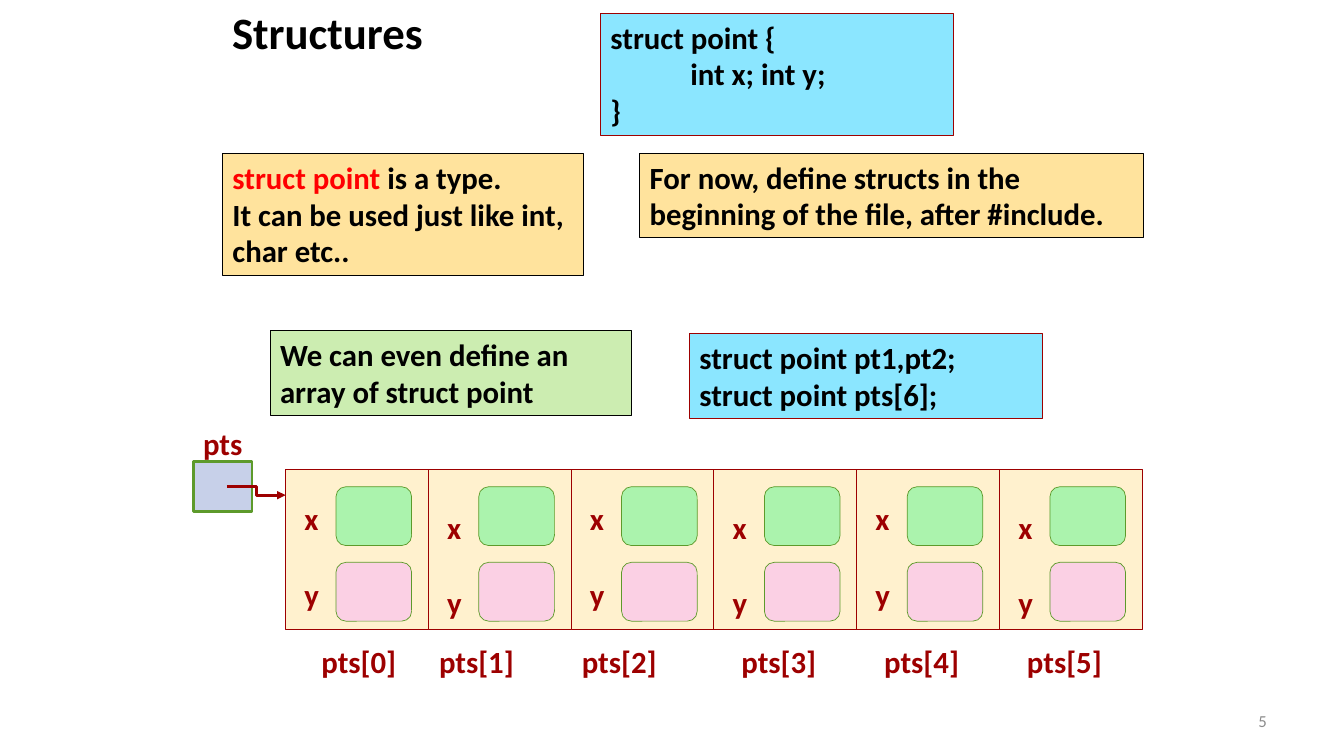
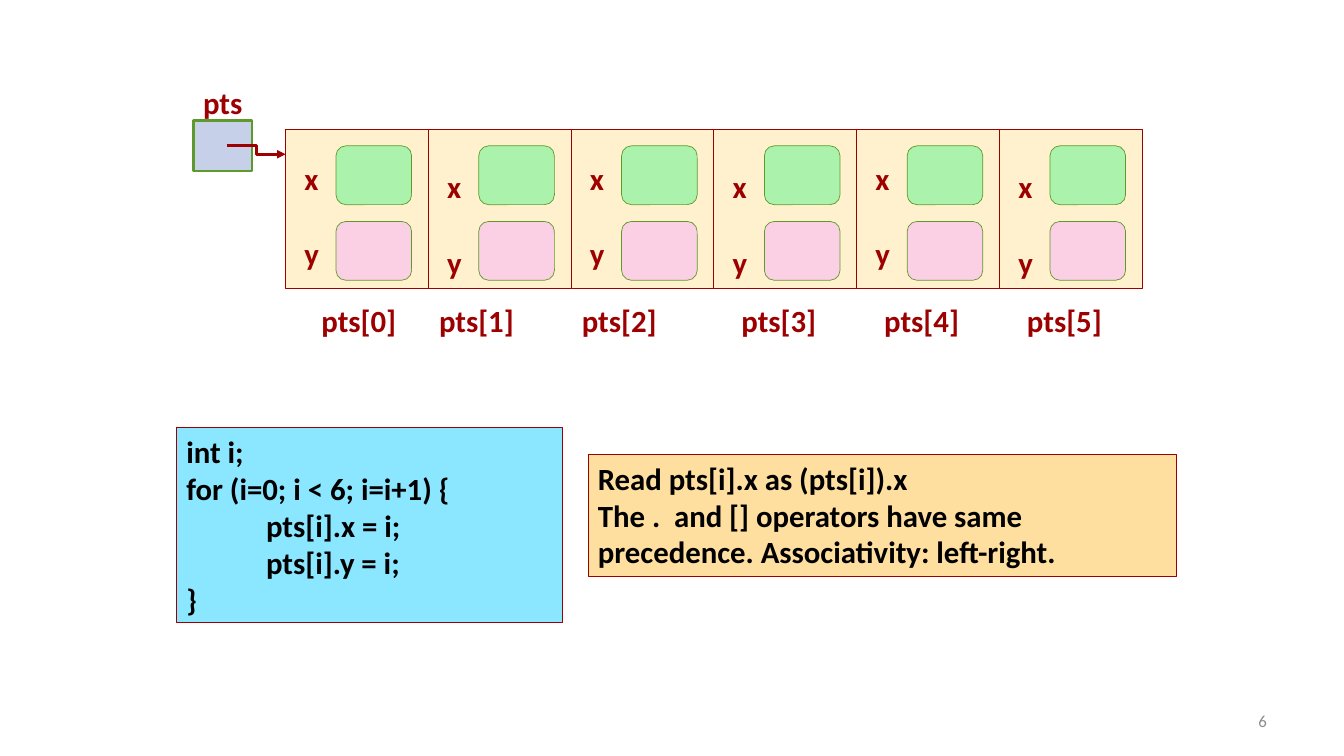
from pptx import Presentation
from pptx.dml.color import RGBColor
from pptx.enum.shapes import MSO_CONNECTOR, MSO_SHAPE
from pptx.enum.text import MSO_ANCHOR, MSO_AUTO_SIZE, PP_ALIGN
from pptx.oxml.ns import qn
from pptx.util import Pt
from lxml.etree import SubElement

BLACK = RGBColor(0x00, 0x00, 0x00)
RED = RGBColor(0xFF, 0x00, 0x00)
GREY = RGBColor(0x8C, 0x8C, 0x8C)
MAROON = RGBColor(0x9D, 0x00, 0x00)
LEAF = RGBColor(0x5D, 0x9A, 0x2B)
SKY = RGBColor(0x8B, 0xE6, 0xFF)
SAND = RGBColor(0xFF, 0xE3, 0x9D)
APRICOT = RGBColor(0xFF, 0xDF, 0x9F)
LIME = RGBColor(0xCC, 0xED, 0xB1)
CREAM = RGBColor(0xFF, 0xF1, 0xCE)
MINT = RGBColor(0xAB, 0xF3, 0xAD)
PINK = RGBColor(0xFB, 0xD0, 0xE4)
PERIWINKLE = RGBColor(0xC7, 0xD0, 0xE9)

FONT = "Calibri"
BODY_SIZE = 22
CODE_INDENT = 57
ARRAY_LEFT = 204
CELL_WIDTH, CELL_HEIGHT = 102, 114
CAPTION_OFFSETS = (18.5, 0.5, 0.5, 12.5, 12.5, 12.5)


class Lecture:
    """Holds the deck, its style and the current page."""

    def __init__(self):
        self.deck = Presentation()
        self.deck.slide_width, self.deck.slide_height = Pt(960), Pt(540)
        self.page = None

    def new_page(self, number):
        self.page = self.deck.slides.add_slide(self.deck.slide_layouts[6])
        box = self.text(str(number), 688, 500.5, 224, 28.5, GREY, size=12,
                        bold=False, align=PP_ALIGN.RIGHT, wrap=True)
        box.text_frame.auto_size = MSO_AUTO_SIZE.NONE
        box.text_frame.vertical_anchor = MSO_ANCHOR.MIDDLE

    def add_spans(self, paragraph, spans, size=BODY_SIZE, bold=True, align=PP_ALIGN.LEFT):
        paragraph.alignment = align
        for words, color in spans:
            span = paragraph.add_run()
            span.text = words
            span.font.name = FONT
            span.font.size = Pt(size)
            span.font.bold = bold
            span.font.color.rgb = color

    def text(self, words, left, top, width, height, color, size=BODY_SIZE,
             bold=True, align=PP_ALIGN.LEFT, wrap=False):
        box = self.page.shapes.add_textbox(Pt(left), Pt(top), Pt(width), Pt(height))
        box.text_frame.word_wrap = wrap
        box.text_frame.auto_size = MSO_AUTO_SIZE.SHAPE_TO_FIT_TEXT
        self.add_spans(box.text_frame.paragraphs[0], [(words, color)], size, bold, align)
        return box

    def title(self, words):
        self.text(words, 129, 0, 210, 45.5, BLACK, size=32, align=PP_ALIGN.CENTER, wrap=True)

    def shape(self, left, top, width, height, fill, line, weight=0.75,
              kind=MSO_SHAPE.RECTANGLE):
        box = self.page.shapes.add_shape(kind, Pt(left), Pt(top), Pt(width), Pt(height))
        box.shadow.inherit = False
        box.fill.solid()
        box.fill.fore_color.rgb = fill
        box.line.color.rgb = line
        box.line.width = Pt(weight)
        return box

    def panel(self, left, top, width, height, fill, line, lines, indented=(), weight=0.75):
        frame = self.shape(left, top, width, height, fill, line, weight).text_frame
        frame.word_wrap = True
        frame.auto_size = MSO_AUTO_SIZE.SHAPE_TO_FIT_TEXT
        frame.vertical_anchor = MSO_ANCHOR.TOP
        for index, content in enumerate(lines):
            paragraph = frame.add_paragraph() if index else frame.paragraphs[0]
            spans = [(content, BLACK)] if isinstance(content, str) else content
            self.add_spans(paragraph, spans)
            if index in indented:
                paragraph._p.get_or_add_pPr().set("marL", str(Pt(CODE_INDENT)))

    def elbow_arrow(self, start_x, start_y, end_x, end_y):
        arrow = self.page.shapes.add_connector(
            MSO_CONNECTOR.ELBOW, Pt(start_x), Pt(start_y), Pt(end_x), Pt(end_y))
        arrow.line.color.rgb = MAROON
        arrow.line.width = Pt(2)
        SubElement(arrow.line._get_or_add_ln(), qn("a:tailEnd"), type="triangle")
        SubElement(arrow._element.spPr, qn("a:effectLst"))

    def cell(self, index, top):
        left = ARRAY_LEFT + index * CELL_WIDTH
        self.shape(left, top, CELL_WIDTH, CELL_HEIGHT, CREAM, MAROON)
        for member, fill, offset in (("x", MINT, 12), ("y", PINK, 66)):
            self.shape(left + 36, top + offset, 54, 42, fill, LEAF, 0.5,
                       MSO_SHAPE.ROUNDED_RECTANGLE)
            drop = 6 + 6 * (index % 2)
            self.text(member, left + 6.3, top + offset + drop, 24.5, 34, MAROON)
        self.text(f"pts[{index}]", left + CAPTION_OFFSETS[index], top + 120, 68.5, 34, MAROON)

    def struct_array(self, top):
        for index in range(len(CAPTION_OFFSETS)):
            self.cell(index, top)
        self.text("pts", 138, top - 36, 42.5, 34, MAROON)
        self.shape(138, top - 6, 42, 36, PERIWINKLE, LEAF, 2)
        self.elbow_arrow(162, top + 12, ARRAY_LEFT, top + 18)


def main():
    lecture = Lecture()

    lecture.new_page(5)
    lecture.title("Structures")
    lecture.panel(429, 9.5, 252, 87, SKY, MAROON,
                  ["struct point {", "int x; int y;", "}"], indented=(1,))
    lecture.panel(159, 109.5, 258, 87, SAND, BLACK,
                  [[("struct point ", RED), ("is a type.", BLACK)],
                   "It can be used just like int, char etc.."])
    lecture.panel(457, 109.5, 360, 60.5, SAND, BLACK,
                  ["For now, define structs in the beginning of the file, after #include."])
    lecture.panel(193, 236, 258, 60.5, LIME, BLACK,
                  ["We can even define an array of struct point"])
    lecture.panel(492.5, 238.5, 252, 60.5, SKY, MAROON,
                  ["struct point pt1,pt2;", "struct point pts[6];"])
    lecture.struct_array(335.7)

    lecture.new_page(6)
    lecture.struct_array(92.2)
    lecture.panel(126, 305.5, 276, 139, SKY, MAROON,
                  ["int i;", "for (i=0; i < 6; i=i+1) {", "pts[i].x = i;", "pts[i].y = i;", "}"],
                  indented=(2, 3))
    lecture.panel(420, 324.5, 420, 87, APRICOT, MAROON,
                  ["Read pts[i].x as (pts[i]).x",
                   "The .  and [] operators have same precedence. Associativity: left-right."],
                  weight=0.5)

    lecture.deck.save("out.pptx")


if __name__ == "__main__":
    main()
